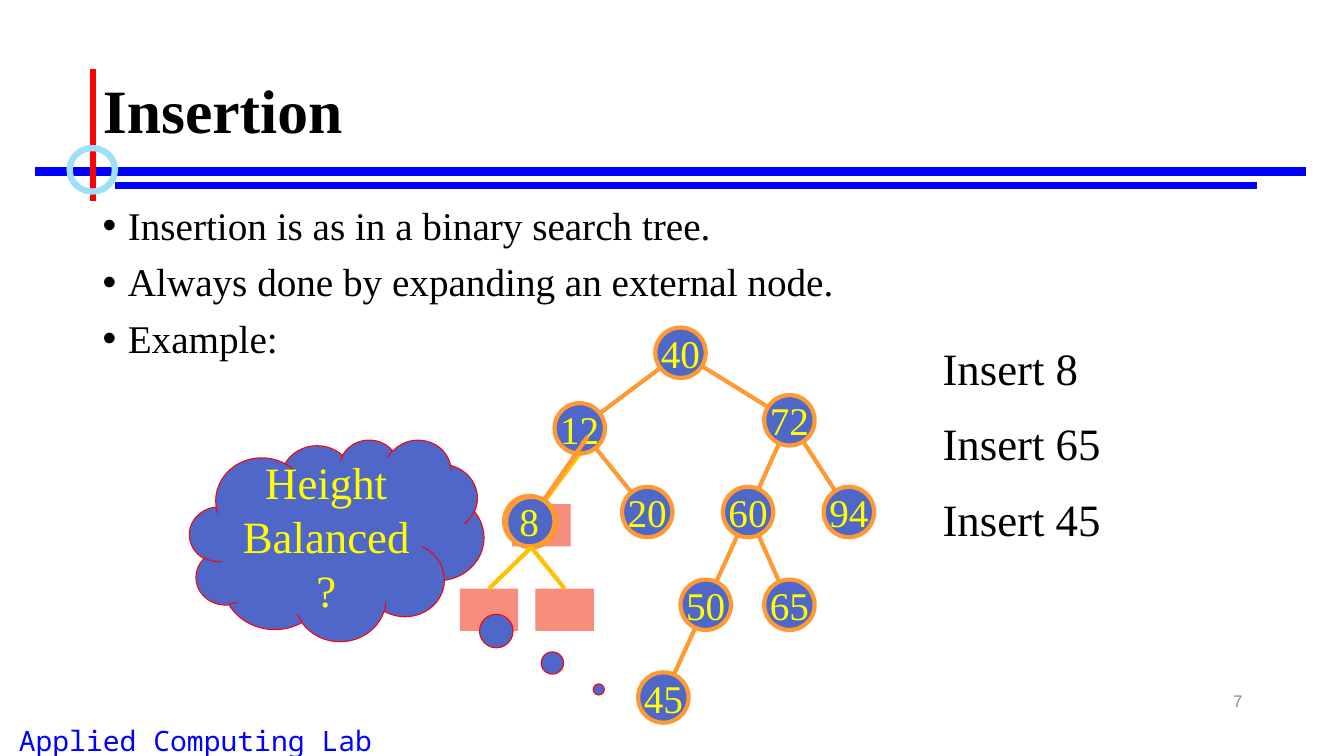
"""Build the slide on insertion into a height-balanced search tree."""
from pptx import Presentation
from pptx.dml.color import RGBColor
from pptx.enum.shapes import MSO_CONNECTOR, MSO_SHAPE as SHAPE
from pptx.enum.text import MSO_ANCHOR as ANCHOR, PP_ALIGN as ALIGN
from pptx.oxml.ns import qn
from pptx.util import Inches, Pt
from lxml import etree

C = {"blue": "0000FF", "red": "FF0000", "sky": "9EE0F8", "node": "4E67C8",
     "orange": "FF9933", "yellow": "FFFF00", "gold": "FFC000",
     "salmon": "F78D7C", "black": "000000", "grey": "8C8C8C"}
SERIF = "Times New Roman"

prs = Presentation()
prs.slide_width, prs.slide_height = Inches(13.33), Inches(7.5)
s = prs.slides.add_slide(prs.slide_layouts[5])


def add_line(x1, y1, x2, y2, color, width=3):
    c = s.shapes.add_connector(MSO_CONNECTOR.STRAIGHT, Inches(x1), Inches(y1),
                               Inches(x2), Inches(y2))
    c.line.color.rgb = RGBColor.from_string(C[color])
    c.line.width = Pt(width)
    etree.SubElement(c._element.spPr, qn("a:effectLst"))


def add_text(p, text, size, color, font=SERIF, align=ALIGN.LEFT):
    p.alignment = align
    r = p.add_run()
    r.text = text
    r.font.size = Pt(size)
    r.font.name = font
    r.font.color.rgb = RGBColor.from_string(C[color])
    return r


title = s.shapes.title
title.left, title.top = Inches(0.92), Inches(0.4)
title.width, title.height = Inches(11.5), Inches(1.45)
title.text_frame.vertical_anchor = ANCHOR.MIDDLE
p = title.text_frame.paragraphs[0]
p.line_spacing = 0.9
add_text(p, "Insertion", 44, "black").font.bold = True

for rule in [(0.35, 1.7, 12.95, 1.7, "blue", 6),
             (1.14, 1.84, 12.47, 1.84, "blue", 4.5),
             (0.92, 0.68, 0.92, 1.99, "red", 4.5)]:
    add_line(*rule)

tb = s.shapes.add_textbox(Inches(0.92), Inches(2), Inches(11.5), Inches(4.76))
tf = tb.text_frame
tf.word_wrap = True
for i, text in enumerate(["Insertion is as in a binary search tree.",
                          "Always done by expanding an external node.",
                          "Example:"]):
    p = tf.add_paragraph() if i else tf.paragraphs[0]
    p.line_spacing = 0.9
    p.space_before = Pt(10 if i else 0)
    pPr = p._p.get_or_add_pPr()
    pPr.set("marL", str(Inches(0.25)))
    pPr.set("indent", str(Inches(-0.25)))
    etree.SubElement(pPr, qn("a:buFont")).set("typeface", "Arial")
    etree.SubElement(pPr, qn("a:buChar")).set("char", "•")
    add_text(p, text, 28, "black")

labels = [(-0.58, 7.13, 5.04, 0.43, "Applied Computing Lab", 20, "blue",
           "Noto Sans Mono", ALIGN.CENTER),
          (9.42, 6.75, 3, 0.4, "7", 12, "grey", "Arial", ALIGN.RIGHT)]
for i, key in enumerate([8, 65, 45]):
    labels.append((9.25, 3.33 + 0.75 * i, 1.77, 0.63, f"Insert {key}", 32,
                   "black", SERIF, ALIGN.LEFT))
for x, y, w, h, *style in labels:
    tb = s.shapes.add_textbox(Inches(x), Inches(y), Inches(w), Inches(h))
    tf = tb.text_frame
    tf.word_wrap = True
    tf.vertical_anchor = ANCHOR.MIDDLE if style[0] == "7" else ANCHOR.TOP
    add_text(tf.paragraphs[0], *style)

add_line(5.38, 5, 5.75, 4.5, "gold")

centers = {40: (6.75, 3.5), 12: (5.75, 4.25), 72: (7.83, 4.17),
           20: (6.42, 5.08), 60: (7.42, 5.08), 94: (8.42, 5.08),
           8: (5.25, 5.17), 50: (7, 6), 65: (7.83, 6), 45: (6.58, 6.92)}
for parent, child in [(40, 12), (40, 72), (12, 20), (72, 60), (72, 94),
                      (60, 50), (60, 65), (50, 45)]:
    add_line(*centers[parent], *centers[child], "orange")

D = 0.5
leaf = (0.58, 0.42, SHAPE.RECTANGLE, "salmon", None, 0, "", 0)
shapes = [(0.69, 1.47, 0.45, 0.43, SHAPE.OVAL, None, "sky", 4.5, "", 0),
          (5.08, 5, *leaf)]
for key, (x, y) in centers.items():
    shapes.append((x - D / 2, y - D / 2, D, D, SHAPE.OVAL, "node", "orange",
                   3, str(key), 28))
shapes += [(5.02, 4.93, D, D, SHAPE.OVAL, None, "orange", 3, "", 0),
           (5.31, 5.84, *leaf), (4.56, 5.84, *leaf),
           (1.88, 4.36, 2.92, 2, SHAPE.CLOUD_CALLOUT, "node", "red", 0.75,
            "Height Balanced?", 32)]
for x, y, w, h, kind, fill, line, width, text, size in shapes:
    if text == "8":
        add_line(5.83, 4.33, *centers[8], "orange")
    if kind == SHAPE.CLOUD_CALLOUT:
        for leaf_x in (4.85, 5.6):
            add_line(leaf_x, 5.84, 5.27, 5.43, "gold")
    sp = s.shapes.add_shape(kind, Inches(x), Inches(y), Inches(w), Inches(h))
    sp.shadow.inherit = False
    if fill:
        sp.fill.solid()
        sp.fill.fore_color.rgb = RGBColor.from_string(C[fill])
    else:
        sp.fill.background()
    if line:
        sp.line.color.rgb = RGBColor.from_string(C[line])
        sp.line.width = Pt(width)
    else:
        sp.line.fill.background()
    if kind == SHAPE.CLOUD_CALLOUT:
        sp.adjustments[0], sp.adjustments[1] = 0.89, 0.74
    if text:
        tf = sp.text_frame
        tf.word_wrap = kind == SHAPE.CLOUD_CALLOUT
        tf.vertical_anchor = ANCHOR.MIDDLE
        add_text(tf.paragraphs[0], text, size, "yellow", align=ALIGN.CENTER)

prs.save("out.pptx")
